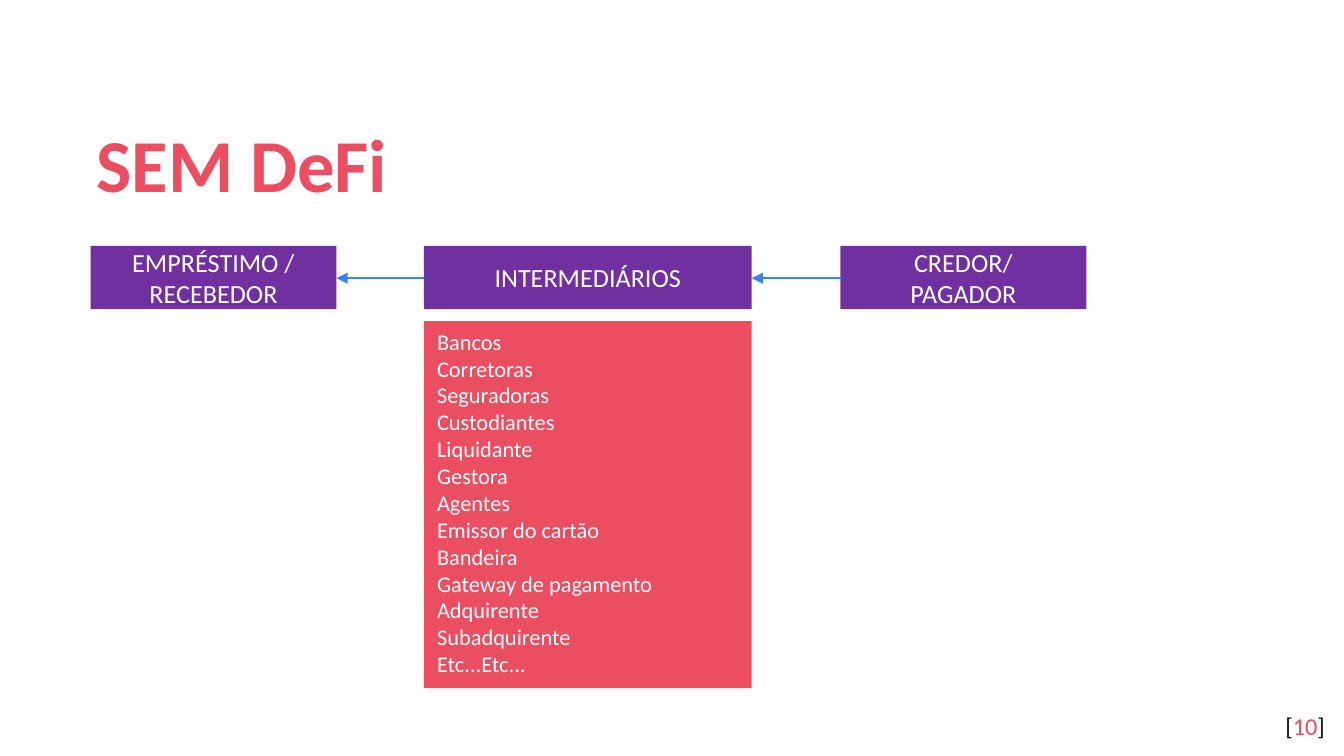
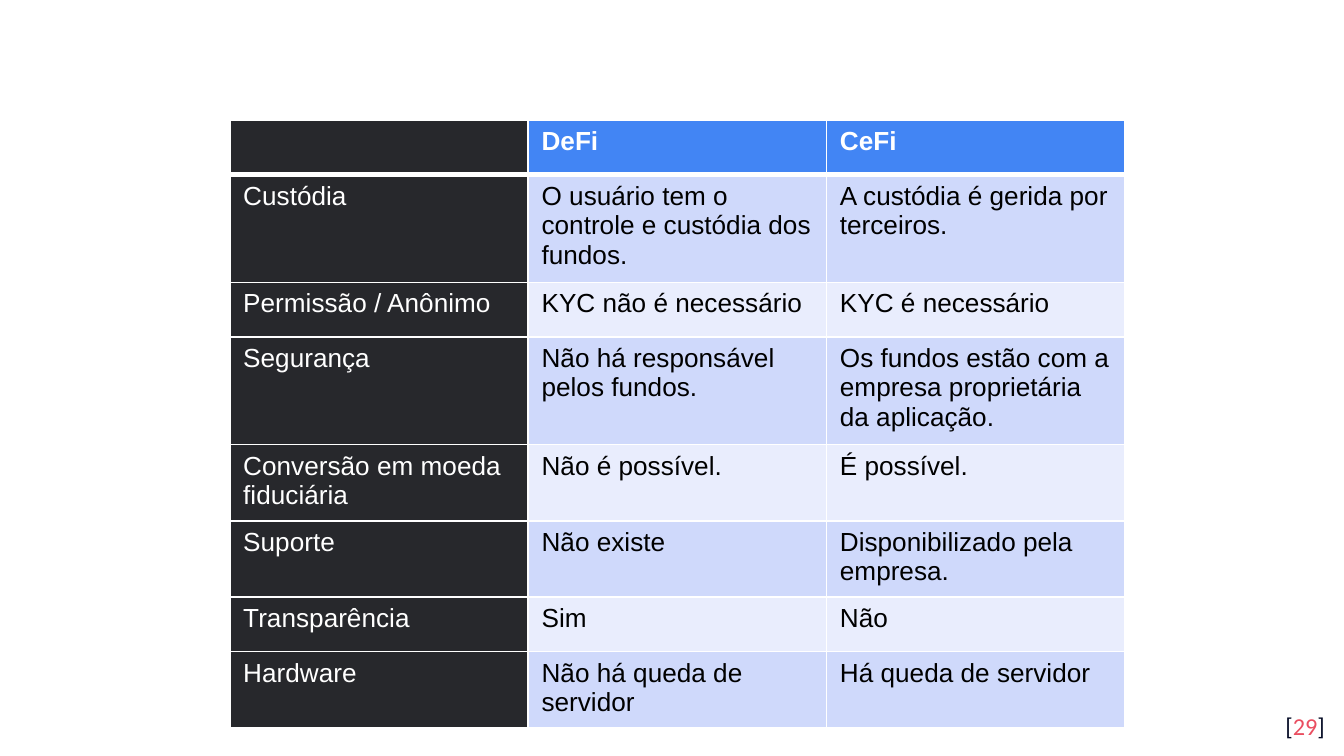
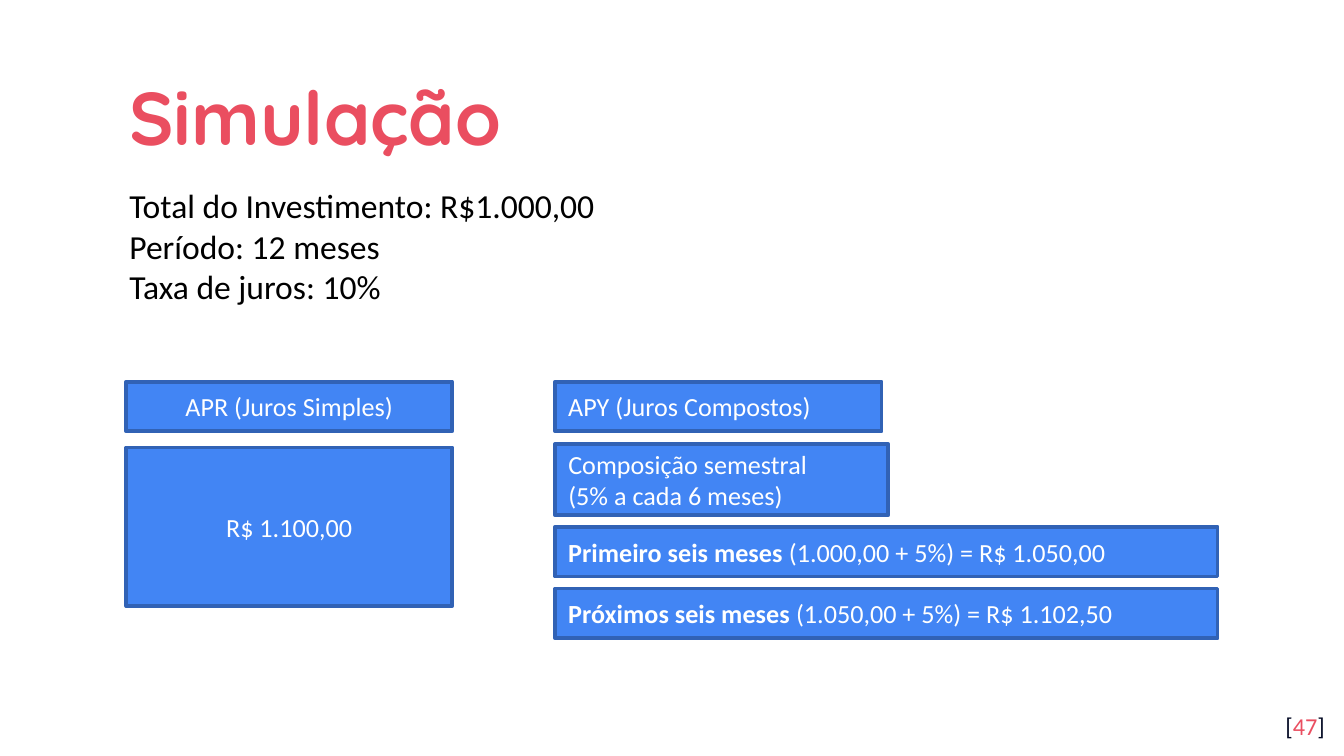
"""Build three slides comparing finance with and without DeFi, and simple with compound interest."""
import pptx
import pptx.dml.color
import pptx.enum.shapes
import pptx.enum.text
import pptx.oxml.ns
import pptx.util
from lxml import etree

COLUMNS, ROWS = 100, 56.25
COLORS = {
    "coral": "EA4E60", "purple": "7030A0", "blue": "4285F4", "outline": "3162B5",
    "arrow": "3C81F3", "navy": "040A24", "charcoal": "27282C", "band": "CFD9FB",
    "pale": "E9EDFD", "white": "FFFFFF", "black": "000000",
}
ALIGN = pptx.enum.text.PP_ALIGN
ANCHOR = pptx.enum.text.MSO_ANCHOR


def rgb(name):
    return pptx.dml.color.RGBColor.from_string(COLORS[name])


def add_element(parent, tag, **attributes):
    return etree.SubElement(parent, pptx.oxml.ns.qn(tag), attributes)


def write_text(frame, lines, font="Calibri", size=14, color="white", bold=False,
               align=ALIGN.LEFT, anchor=ANCHOR.TOP, spacing=None, grow=False):
    """Write lines, each a string or a list of (text, run format) pairs."""
    frame.word_wrap = True
    frame.vertical_anchor = anchor
    if grow:
        frame.auto_size = pptx.enum.text.MSO_AUTO_SIZE.SHAPE_TO_FIT_TEXT
    for index, line in enumerate(lines):
        paragraph = frame.add_paragraph() if index else frame.paragraphs[0]
        paragraph.alignment = align
        if spacing:
            paragraph.line_spacing = spacing
        for text, changes in [(line, {})] if isinstance(line, str) else line:
            run = paragraph.add_run()
            run.text = text
            run.font.name = font
            run.font.size = pptx.util.Pt(size)
            run.font.bold = changes.get("bold", bold)
            run.font.color.rgb = rgb(changes.get("color", color))


class Deck:
    """Hold the shared style and the current slide, measured in grid columns and rows."""

    def __init__(self):
        self.presentation = pptx.Presentation()
        self.presentation.slide_width = pptx.util.Inches(10)
        self.presentation.slide_height = pptx.util.Inches(10) * 9 // 16
        self.slide = None

    def x(self, columns):
        return round(self.presentation.slide_width * columns / COLUMNS)

    def y(self, rows):
        return round(self.presentation.slide_height * rows / ROWS)

    def place(self, left, top, width, height):
        return self.x(left), self.y(top), self.x(width), self.y(height)

    def new_slide(self, number):
        self.slide = self.presentation.slides.add_slide(self.presentation.slide_layouts[6])
        page_number = [("[", {}), (str(number), {"color": "coral"}), ("]", {})]
        self.text([page_number], 93.6, 51.95, 5.95, 4.3, inset=1,
                  size=13, color="navy", align=ALIGN.RIGHT)

    def text(self, lines, left, top, width, height, inset=0.5, **style):
        frame = self.slide.shapes.add_textbox(*self.place(left, top, width, height)).text_frame
        frame.margin_top = frame.margin_bottom = self.y(inset)
        write_text(frame, lines, **style)

    def title(self, text, left, top, font="Calibri"):
        self.text([text], left, top, 87.7, 9.2, inset=1, font=font, size=40,
                  color="coral", bold=True, anchor=ANCHOR.MIDDLE, spacing=1.15)

    def box(self, lines, left, top, width, height, fill="blue", outline=None,
            anchor=ANCHOR.MIDDLE, **style):
        shape = self.slide.shapes.add_shape(pptx.enum.shapes.MSO_SHAPE.RECTANGLE,
                                            *self.place(left, top, width, height))
        shape.shadow.inherit = False
        shape.fill.solid()
        shape.fill.fore_color.rgb = rgb(fill)
        if outline:
            shape.line.color.rgb = rgb(outline)
            shape.line.width = pptx.util.Pt(2)
        else:
            shape.line.fill.background()
        write_text(shape.text_frame, lines, anchor=anchor, **style)

    def arrow(self, start, end, level):
        connector = self.slide.shapes.add_connector(
            pptx.enum.shapes.MSO_CONNECTOR.STRAIGHT,
            self.x(start), self.y(level), self.x(end), self.y(level))
        connector.line.color.rgb = rgb("arrow")
        connector.line.width = pptx.util.Pt(0.75)
        add_element(connector.line._get_or_add_ln(), "a:tailEnd", type="triangle")
        add_element(connector._element.spPr, "a:effectLst")

    def table(self, records, left, top, width, height, row_height):
        frame = self.slide.shapes.add_table(
            len(records), len(records[0]), *self.place(left, top, width, height))
        table = frame.table
        for row_index, record in enumerate(records):
            table.rows[row_index].height = self.y(row_height)
            for column_index, text in enumerate(record):
                header, label = row_index == 0, column_index == 0
                cell = table.cell(row_index, column_index)
                self.borders(cell, top=3 if row_index == 1 else 1, bottom=3 if header else 1)
                body_fill = "band" if row_index % 2 else "pale"
                cell.fill.solid()
                cell.fill.fore_color.rgb = rgb(
                    "charcoal" if label else "blue" if header else body_fill)
                if text:
                    write_text(cell.text_frame, [text], font="Arial", bold=header,
                               color="white" if header or label else "black")
        frame.height = self.y(height)

    def borders(self, cell, top, bottom):
        properties = cell._tc.get_or_add_tcPr()
        for side, points in (("L", 1), ("R", 1), ("T", top), ("B", bottom)):
            line = add_element(properties, f"a:ln{side}", w=str(pptx.util.Pt(points)))
            add_element(add_element(line, "a:solidFill"), "a:srgbClr", val=COLORS["white"])


def build_without_defi(deck):
    deck.new_slide(10)
    parties = [
        (["EMPRÉSTIMO / RECEBEDOR"], 6.74, 18.3),
        (["INTERMEDIÁRIOS"], 31.54, 24.4),
        (["CREDOR/", "PAGADOR"], 62.54, 18.3),
    ]
    for lines, left, width in parties:
        deck.box(lines, left, 18.3, width, 4.7, fill="purple", align=ALIGN.CENTER)
    deck.title("SEM DeFi", 6.2, 7)
    intermediaries = [
        "Bancos", "Corretoras", "Seguradoras", "Custodiantes", "Liquidante", "Gestora",
        "Agentes", "Emissor do cartão", "Bandeira", "Gateway de pagamento", "Adquirente",
        "Subadquirente", "Etc...Etc...",
    ]
    deck.box(intermediaries, 31.54, 23.9, 24.4, 27.3, fill="coral", size=12,
             anchor=ANCHOR.TOP, grow=True)
    for (_, left, width), (_, payer_left, _) in reversed(list(zip(parties, parties[1:]))):
        deck.arrow(payer_left, left + width, 20.7)


def build_comparison(deck):
    deck.new_slide(29)
    deck.table([
        ("", "DeFi", "CeFi"),
        ("Custódia", "O usuário tem o controle e custódia dos fundos.",
         "A custódia é gerida por terceiros."),
        ("Permissão / Anônimo", "KYC não é necessário", "KYC é necessário"),
        ("Segurança", "Não há responsável pelos fundos.",
         "Os fundos estão com a empresa proprietária da aplicação."),
        ("Conversão em moeda fiduciária", "Não é possível.", "É possível."),
        ("Suporte", "Não existe", "Disponibilizado pela empresa."),
        ("Transparência", "Sim", "Não"),
        ("Hardware", "Não há queda de servidor", "Há queda de servidor"),
    ], 17.1, 8.95, 66.6, 45.2, row_height=4.06)


def build_simulation(deck):
    deck.new_slide(47)
    deck.text(["Total do Investimento: R$1.000,00", "Período: 12 meses", "Taxa de juros: 10%"],
              8.64, 13.3, 41.8, 10.1, size=18, color="black", grow=True)
    simple_left, compound_left = 9.4, 41.3
    for text, top, height in (("APR (Juros Simples)", 28.4, 3.7), ("R$ 1.100,00", 33.3, 11.8)):
        deck.box([text], simple_left, top, 24.25, height, outline="outline", align=ALIGN.CENTER)
    compound_boxes = [
        (["APY (Juros Compostos)"], 28.4, 24.3, 3.7),
        (["Composição semestral", "(5% a cada 6 meses)"], 33.05, 24.8, 5.3),
        ([[("Primeiro seis meses ", {"bold": True}), ("(1.000,00 + 5%) = R$ 1.050,00", {})]],
         39.2, 49.3, 3.7),
        ([[("Próximos seis meses ", {"bold": True}), ("(1.050,00 + 5%) = R$ 1.102,50", {})]],
         43.8, 49.3, 3.7),
    ]
    for lines, top, width, height in compound_boxes:
        deck.box(lines, compound_left, top, width, height, outline="outline")
    deck.title("Simulação", 8.64, 3.5, font="Quicksand")


def main():
    deck = Deck()
    build_without_defi(deck)
    build_comparison(deck)
    build_simulation(deck)
    deck.presentation.save("out.pptx")


if __name__ == "__main__":
    main()
